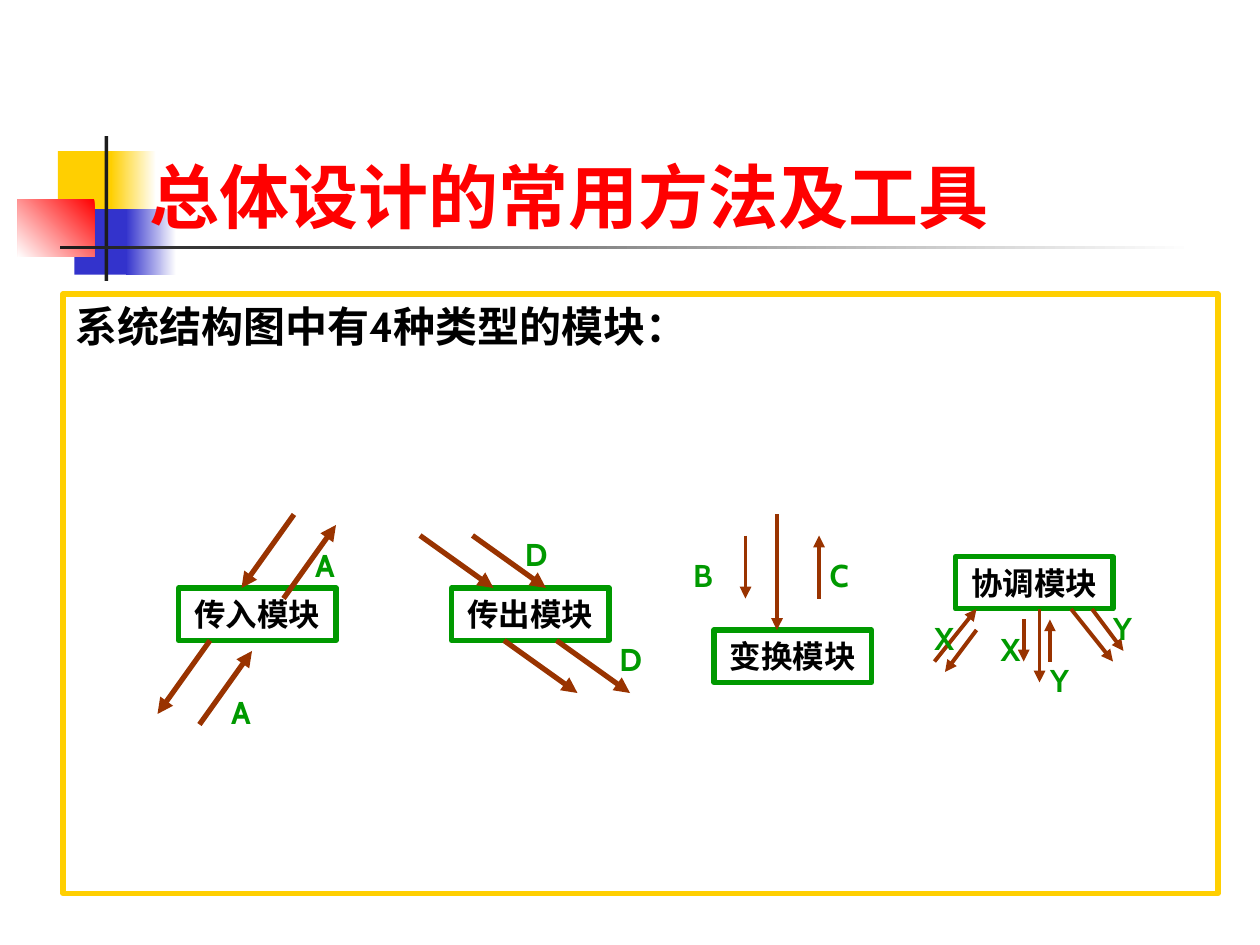
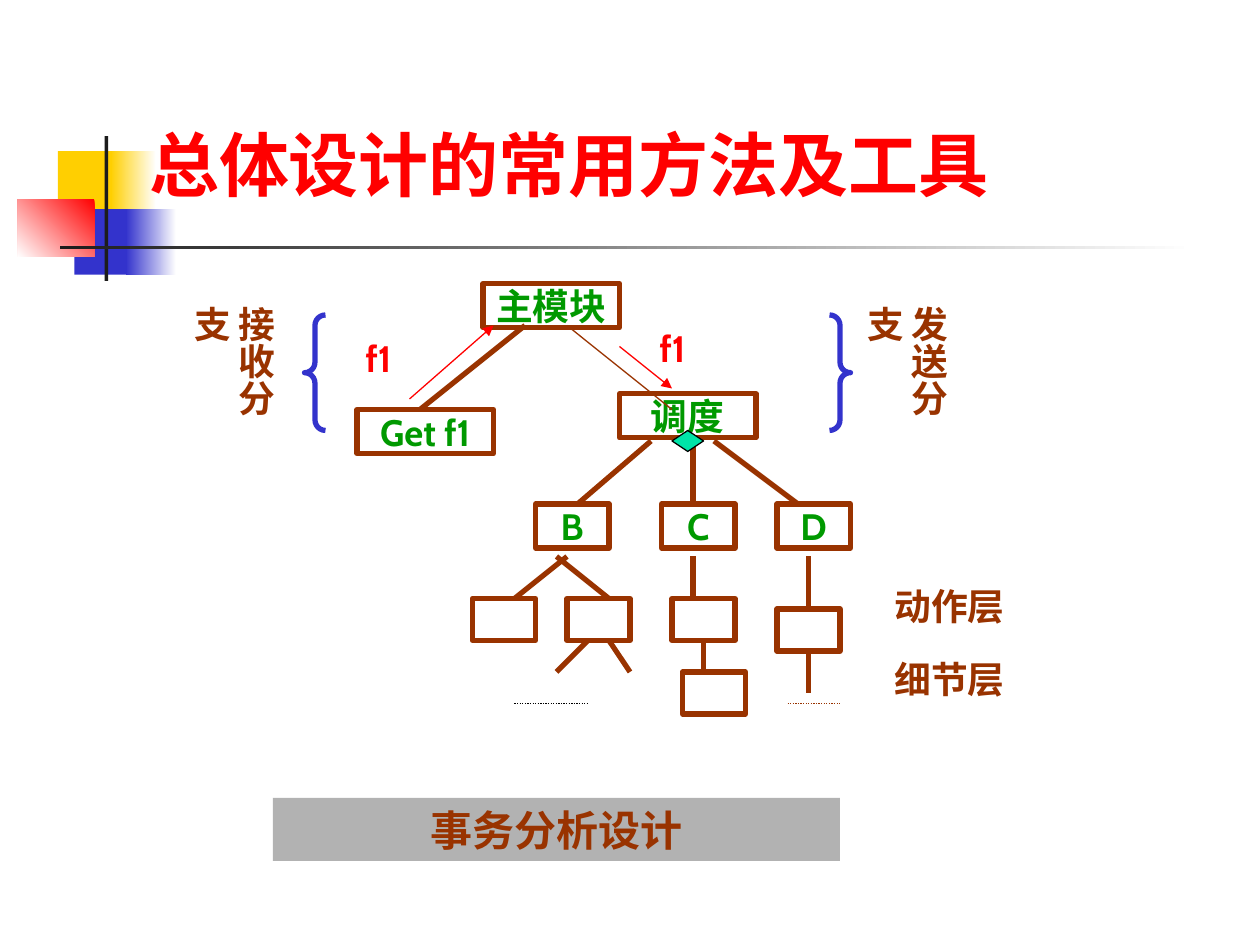
from dataclasses import dataclass
from lxml.etree import SubElement
from pptx import Presentation
from pptx.dml.color import RGBColor as Rgb
from pptx.enum.dml import MSO_LINE as Dash
from pptx.enum.shapes import MSO_CONNECTOR as Conn, MSO_SHAPE as Kind
from pptx.enum.text import MSO_ANCHOR as Anchor, MSO_AUTO_SIZE as Fit, PP_ALIGN as Align
from pptx.oxml.ns import qn
from pptx.util import Inches, Pt


@dataclass(frozen=True)
class Theme:
    gold: str = "FFCF01"
    blue: str = "3333CC"
    red: str = "FF0000"
    white: str = "FFFFFF"
    ink: str = "1C1C1C"
    black: str = "000000"
    green: str = "009900"
    brown: str = "993300"
    gray: str = "B2B2B2"
    mint: str = "00E4A8"
    head: str = "Times New Roman"
    body: str = "Cabin"
    title: int = 40
    lead: int = 24
    node: int = 21
    small: int = 18
    thick: float = 3
    mid: float = 2.25
    thin: float = 0.75


T = Theme()
TITLE = "总体设计的常用方法及工具"
PAD = (0.1, 0.05)


def grid(n):
    return Inches(n / 12)


def color(code):
    return Rgb.from_string(code)


def write(shape, text, size, tint, font=T.body, align=Align.LEFT,
          pad=(0, 0), anchor=Anchor.TOP, wrap=True):
    frame = shape.text_frame
    frame.auto_size = Fit.NONE
    frame.word_wrap = wrap
    frame.vertical_anchor = anchor
    frame.margin_left = frame.margin_right = Inches(pad[0])
    frame.margin_top = frame.margin_bottom = Inches(pad[1])
    para = frame.paragraphs[0]
    para.alignment = align
    para.space_before = Pt(0)
    run = para.add_run()
    run.text = text
    run.font.name = font
    run.font.size = Pt(size)
    run.font.bold = True
    run.font.color.rgb = color(tint)


def shape(slide, box, kind=Kind.RECTANGLE, fill=None, line=None, width=T.thick):
    item = slide.shapes.add_shape(kind, *box)
    item.shadow.inherit = False
    if fill:
        item.fill.solid()
        item.fill.fore_color.rgb = color(fill)
    else:
        item.fill.background()
    if line:
        item.line.color.rgb = color(line)
        item.line.width = Pt(width)
    else:
        item.line.fill.background()
    return item


def cell(x, y, w, h):
    return [grid(n) for n in (x, y, w, h)]


def label(slide, box, text, size, tint, pad=(0, 0)):
    item = slide.shapes.add_textbox(*box)
    write(item, text, size, tint, pad=pad)
    return item


def link(slide, at, ends, tint=T.brown, width=T.thick, arrow=False, dash=None):
    x, y = at
    a, b, c, d = ends
    item = slide.shapes.add_connector(
        Conn.STRAIGHT, grid(x + a), grid(y + b), grid(x + c), grid(y + d))
    item.line.color.rgb = color(tint)
    item.line.width = Pt(width)
    if dash:
        item.line.dash_style = dash
    props = item._element.spPr
    if arrow:
        SubElement(props.find(qn("a:ln")), qn("a:tailEnd"), type="triangle")
    SubElement(props, qn("a:effectLst"))


def blend(slide, box, start, end, angle):
    item = shape(slide, box)
    item.fill.gradient()
    item.fill.gradient_angle = angle
    for stop, tint, spot in zip(item.fill.gradient_stops, (start, end), (0, 1)):
        stop.color.rgb = color(tint)
        stop.position = spot
    return item


def motif(slide, layout):
    parts = (
        ((0.46, 1.2, 0.48, 0.52), T.gold, None, 0),
        ((0.88, 1.2, 0.36, 0.52), T.white, T.gold, 180),
        ((0.59, 1.66, 0.46, 0.52), T.blue, None, 0),
        ((1, 1.66, 0.4, 0.52), T.white, T.blue, 180),
        ((0.14, 1.58, 0.61, 0.46), T.red, T.white, 225),
        ((0.83, 1.08, 0.03, 1.15), T.ink, None, 0),
        ((0.48, 1.95, 9, 0.03), T.white, T.ink, 180),
    )
    for area, start, end, angle in parts:
        box = [Inches(n) for n in area]
        if end:
            item = blend(slide, box, start, end, angle)
        else:
            item = shape(slide, box, fill=start)
        layout.shapes.element.append(item._element)


def head(slide, top):
    item = slide.shapes.title
    item.left, item.top, item.width, item.height = cell(13, top, 102, 9.2)
    write(item, TITLE, T.title, T.red, T.head, pad=PAD)


def module(slide, at, name, width, arrows, tags):
    x, y = at
    item = shape(slide, cell(x, y, 15, 5), line=T.green)
    write(item, name, T.small, T.black, align=Align.CENTER, pad=PAD,
          anchor=Anchor.MIDDLE, wrap=False)
    for ends in arrows:
        link(slide, at, ends, width=width, arrow=True)
    for text, a, b in tags:
        label(slide, cell(x + a, y + b, 3, 3.6), text, T.small, T.green)


def types(slide):
    head(slide, 14)
    frame = shape(slide, cell(6, 28, 110, 57.1), line=T.gold)
    write(frame, "系统结构图中有4种类型的模块：", T.lead, T.black, pad=PAD)
    module(slide, (17, 56), "传入模块", T.thick,
           ((11, -7, 6, 0), (3, 5, -2, 12), (10, 1, 15, -6), (2, 13, 7, 6)),
           (("A", 5, 10), ("A", 13, -4)))
    module(slide, (43, 56), "传出模块", T.thick,
           [(x, y, x + 7, y + 5) for x, y in ((-3, -5), (5, 5), (2, -5), (10, 5))],
           (("D", 16, 5), ("D", 7, -5)))
    module(slide, (68, 60), "变换模块", T.mid,
           ((6, -11, 6, 0), (3, -9, 3, -3), (10, -3, 10, -9)),
           (("B", -2, -7), ("C", 11, -7)))
    module(slide, (91, 53), "协调模块", T.mid,
           ((8, 5, 8, 12), (-2, 10, 2, 5), (2, 7, -1, 11), (6.5, 6, 6.5, 10),
            (9, 10, 9, 6), (11, 5, 15, 10), (13, 5, 16, 9)),
           (("X", -2, 6), ("X", 4.3, 7), ("Y", 15, 5), ("Y", 9, 10)))


def tree(slide, at):
    x, y = at
    nodes = (("主模块", 12, 0, 13), ("Get f1", 0, 12, 13), ("调度", 25, 10.5, 13),
             ("B", 17, 21, 7), ("C", 29, 21, 7), ("D", 40, 21, 7))
    for text, a, b, w in nodes:
        item = shape(slide, cell(x + a, y + b, w, 4.2), line=T.brown)
        write(item, text, T.node, T.green, align=Align.CENTER)
    for a, b in ((20, 30), (11, 30), (30, 30), (40, 31), (31, 37)):
        shape(slide, cell(x + a, y + b, 6, 4), line=T.brown)
    for ends in ((16, 4, 6, 12), (28, 15, 21, 21), (32, 15, 32, 21),
                 (34, 15, 42, 21), (20, 26, 15, 30), (19, 26, 24, 30),
                 (32, 26, 32, 30), (43, 26, 43, 31), (33, 34, 33, 37),
                 (22, 34, 19, 37), (24, 34, 26, 37), (43, 35, 43, 39)):
        link(slide, at, ends)
    link(slide, at, (20, 4, 30, 12), width=T.thin)
    for ends in ((5, 11, 13, 4), (25, 6, 30, 10)):
        link(slide, at, ends, T.red, T.thin, arrow=True)
    for ends, tint in (((15, 40, 22, 40), T.black), ((41, 40, 46, 40), T.brown)):
        link(slide, at, ends, tint, T.thin, dash=Dash.ROUND_DOT)
    for a, b in ((0.8, 5), (28.8, 4)):
        label(slide, cell(x + a, y + b, 7, 4.2), "f1", T.node, T.red)
    shape(slide, cell(x + 30, y + 14, 3, 2), Kind.DIAMOND, T.mint, T.black, T.thin)


def branch(slide, kind, left, text, side):
    brace = shape(slide, cell(left, 30, 2, 11), kind, line=T.blue)
    brace.adjustments[0] = 0.5
    item = label(slide, cell(side, 28, 6.6, 16), text, T.node, T.brown, (0.05, 0.1))
    item.text_frame._txBody.bodyPr.set("vert", "eaVert")


def design(slide):
    head(slide, 11)
    note = shape(slide, cell(26, 76, 54, 6), fill=T.gray)
    write(note, "事务分析设计", T.lead, T.brown, align=Align.CENTER, pad=PAD)
    tree(slide, (34, 27))
    branch(slide, Kind.LEFT_BRACE, 29, "接收分支", 20.4)
    branch(slide, Kind.RIGHT_BRACE, 79, "发送分支", 84.5)
    for row, text in enumerate(("动作层", "细节层")):
        label(slide, cell(84, 55 + 7 * row, 19, 5.4), text, T.node, T.brown, PAD)


def main():
    deck = Presentation()
    deck.slide_width, deck.slide_height = Inches(10), Inches(7.5)
    layout = deck.slide_layouts.get_by_name("Title Only")
    pages = [deck.slides.add_slide(layout) for _ in range(2)]
    motif(pages[0], layout)
    for build, slide in zip((types, design), pages):
        build(slide)
    deck.save("out.pptx")


if __name__ == "__main__":
    main()
